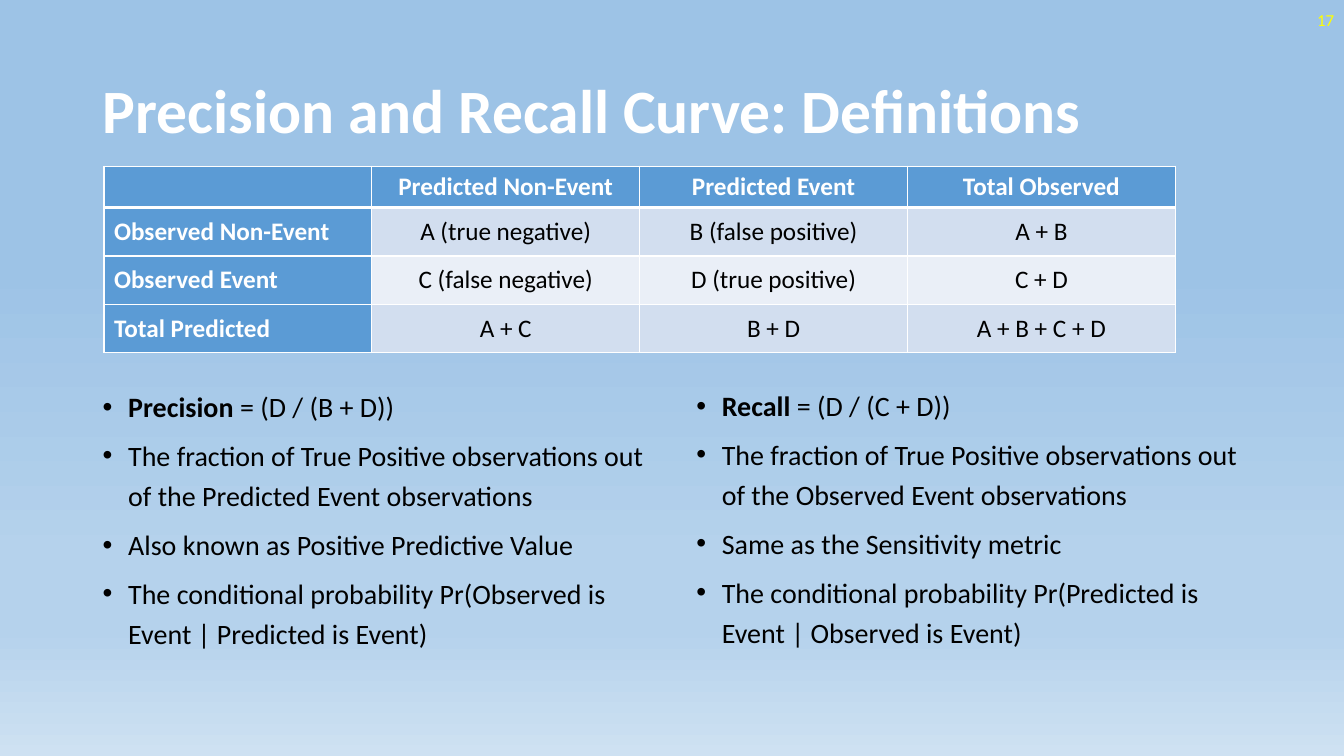
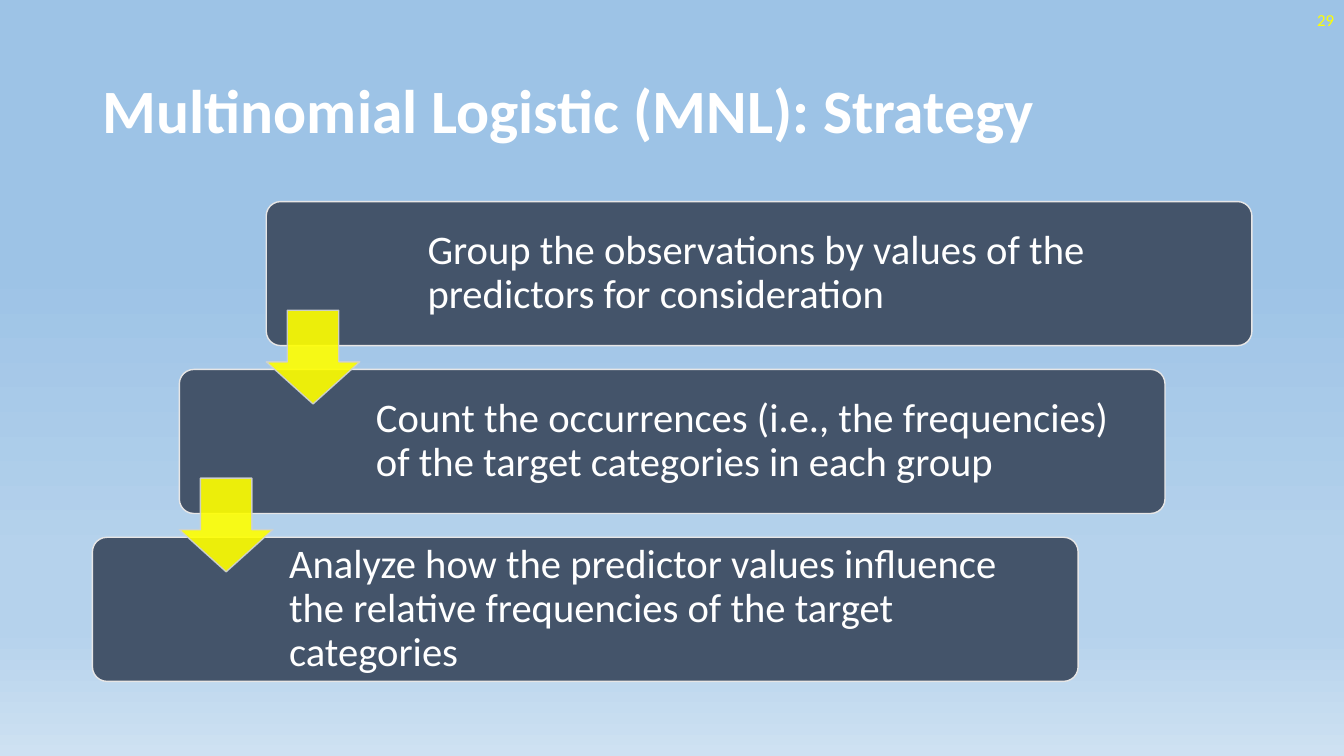
"""Build two slides on precision and recall and on multinomial logistic strategy."""
from lxml import etree
from pptx import Presentation
from pptx import util as u
from pptx.dml.color import RGBColor
from pptx.enum import shapes, text
from pptx.oxml import parse_xml
from pptx.oxml.ns import nsdecls, qn

HUES = {
    "white": "FFFFFF", "black": "000000", "yellow": "FFFF00", "head": "5B9BD5",
    "odd": "D2DEEF", "even": "EAEFF7", "slate": "44546A", "edge": "E7E6E6",
    "rim": "CFD1D4", "sky": "9DC3E6", "mid": "B5D2EC", "pale": "CEE1F2",
}
INK = {name: RGBColor.from_string(code) for name, code in HUES.items()}
STOPS = [(35, "sky"), (74, "mid"), (83, "mid"), (100, "pale")]
PLAIN = {"word_wrap": True, "auto_size": text.MSO_AUTO_SIZE.NONE}
MIDDLE = {**PLAIN, "vertical_anchor": text.MSO_ANCHOR.MIDDLE}
LEFT, CENTER, RIGHT = text.PP_ALIGN.LEFT, text.PP_ALIGN.CENTER, text.PP_ALIGN.RIGHT


def form(item, vals):
    for key, val in vals.items():
        setattr(item, key, val)


def put(par, words, size, hue, bold=False):
    run = par.add_run()
    run.text = words
    form(run.font, {"name": "Calibri", "size": u.Pt(size), "bold": bold})
    run.font.color.rgb = INK[hue]


deck = Presentation()
form(deck, {"slide_width": u.Cm(33.87), "slide_height": u.Cm(19.05)})

back = deck.slide_master.background.fill
back.gradient()
back.gradient_angle = 270
stops = deck.slide_master.element.find(".//" + qn("a:gsLst"))
stops.clear()
for spot, hue in STOPS:
    stop = etree.SubElement(stops, qn("a:gs"), pos=str(spot * 1000))
    etree.SubElement(stop, qn("a:srgbClr"), val=HUES[hue])

pages = []
for name, number in [
    ("Precision and Recall Curve: Definitions", "17"),
    ("Multinomial Logistic (MNL): Strategy", "29"),
]:
    page = deck.slides.add_slide(deck.slide_layouts[5])
    title = page.shapes.title
    form(title, {"left": u.Cm(2.34), "top": u.Cm(1.02),
                 "width": u.Cm(29.21), "height": u.Cm(3.68)})
    form(title.text_frame, MIDDLE)
    par = title.text_frame.paragraphs[0]
    form(par, {"alignment": LEFT, "line_spacing": 0.9})
    put(par, name, 44, "white", True)

    box = page.shapes.add_textbox(u.Cm(26.25), 0, u.Cm(7.62), u.Cm(1.02))
    form(box.text_frame, MIDDLE)
    par = box.text_frame.paragraphs[0]
    par.alignment = RIGHT
    put(par, number, 12, "yellow")
    pages.append(page)

metrics, plan = pages

ROWS = [
    ["", "Predicted Non-Event", "Predicted Event", "Total Observed"],
    ["Observed Non-Event", "A (true negative)", "B (false positive)", "A + B"],
    ["Observed Event", "C (false negative)", "D (true positive)", "C + D"],
    ["Total Predicted", "A + C", "B + D", "A + B + C + D"],
]
grid = metrics.shapes.add_table(
    4, 4, u.Cm(2.62), u.Cm(4.19), u.Cm(27), u.Cm(4.7)).table
for col in grid.columns:
    col.width = u.Cm(6.75)
for i, row in enumerate(ROWS):
    grid.rows[i].height = u.Cm(1.22 if i else 1.04)
    for j, words in enumerate(row):
        cell = grid.cell(i, j)
        head = i == 0 or j == 0
        cell.vertical_anchor = text.MSO_ANCHOR.MIDDLE
        cell.fill.solid()
        cell.fill.fore_color.rgb = INK["head" if head else "odd" if i % 2 else "even"]
        par = cell.text_frame.paragraphs[0]
        par.alignment = CENTER if j else LEFT
        if words:
            put(par, words, 18, "white" if head else "black", head)
        thick = {"B": 3} if i == 0 else {"T": 3} if i == 1 else {}
        for k, side in enumerate("LRTB"):
            width = u.Pt(thick.get(side, 1))
            cell._tc.tcPr.insert(k, parse_xml(
                f'<a:ln{side} {nsdecls("a")} w="{width}"><a:solidFill>'
                f'<a:srgbClr val="{HUES["white"]}"/></a:solidFill></a:ln{side}>'))

NOTES = [
    (2.34, 9.53, "Precision ", "= (D / (B + D))", [
        "The fraction of True Positive observations out of the Predicted Event observations",
        "Also known as Positive Predictive Value",
        "The conditional probability Pr(Observed is Event | Predicted is Event)"]),
    (17.3, 9.5, "Recall ", "= (D / (C + D))", [
        "The fraction of True Positive observations out of the Observed Event observations",
        "Same as the Sensitivity metric",
        "The conditional probability Pr(Predicted is Event | Observed is Event)"]),
]
for left, top, term, rule, facts in NOTES:
    box = metrics.shapes.add_textbox(u.Cm(left), u.Cm(top), u.Cm(14.22), u.Cm(6.99))
    frame = box.text_frame
    form(frame, PLAIN)
    for i, words in enumerate([rule, *facts]):
        par = frame.add_paragraph() if i else frame.paragraphs[0]
        props = par._p.get_or_add_pPr()
        props.set("marL", str(u.Cm(0.64)))
        props.set("indent", str(-u.Cm(0.64)))
        etree.SubElement(props, qn("a:buFont"), typeface="Arial")
        etree.SubElement(props, qn("a:buChar"), char="•")
        par.line_spacing = 1.2
        if i:
            par.space_before = u.Pt(6)
        else:
            put(par, term, 20, "black", True)
        put(par, words, 20, "black")

STEPS = [
    (3.96, "Group the observations by values of the predictors for consideration"),
    (4.85, "Count the occurrences (i.e., the frequencies) of the target categories in each group"),
    (4.85, "Analyze how the predictor values influence the relative frequencies of the target categories"),
]
for i, (inset, words) in enumerate(STEPS):
    step = plan.shapes.add_shape(
        shapes.MSO_SHAPE.ROUNDED_RECTANGLE, u.Cm(6.71 - 2.19 * i),
        u.Cm(5.08 + 4.23 * i), u.Cm(24.84), u.Cm(3.63))
    step.adjustments[0] = 0.1
    step.shadow.inherit = False
    step.fill.solid()
    step.fill.fore_color.rgb = INK["slate"]
    step.line.color.rgb = INK["edge"]
    step.line.width = u.Pt(1)
    form(step.text_frame, {**MIDDLE, "margin_left": u.Cm(inset),
                           "margin_right": u.Cm(0.33),
                           "margin_top": 0, "margin_bottom": 0})
    par = step.text_frame.paragraphs[0]
    form(par, {"alignment": LEFT, "line_spacing": 0.9})
    put(par, words, 29, "white")

for i in range(len(STEPS) - 1):
    arrow = plan.shapes.add_shape(
        shapes.MSO_SHAPE.DOWN_ARROW, u.Cm(6.71 - 2.19 * i),
        u.Cm(7.82 + 4.23 * i), u.Cm(2.36), u.Cm(2.36))
    arrow.adjustments[0] = 0.55
    arrow.adjustments[1] = 0.45
    arrow.shadow.inherit = False
    arrow.fill.solid()
    arrow.fill.fore_color.rgb = INK["yellow"]
    arrow.line.color.rgb = INK["rim"]
    arrow.line.width = u.Pt(1)
    for tone in arrow.element.spPr.iter(qn("a:srgbClr")):
        etree.SubElement(tone, qn("a:alpha"), val="90000")

deck.save("out.pptx")
